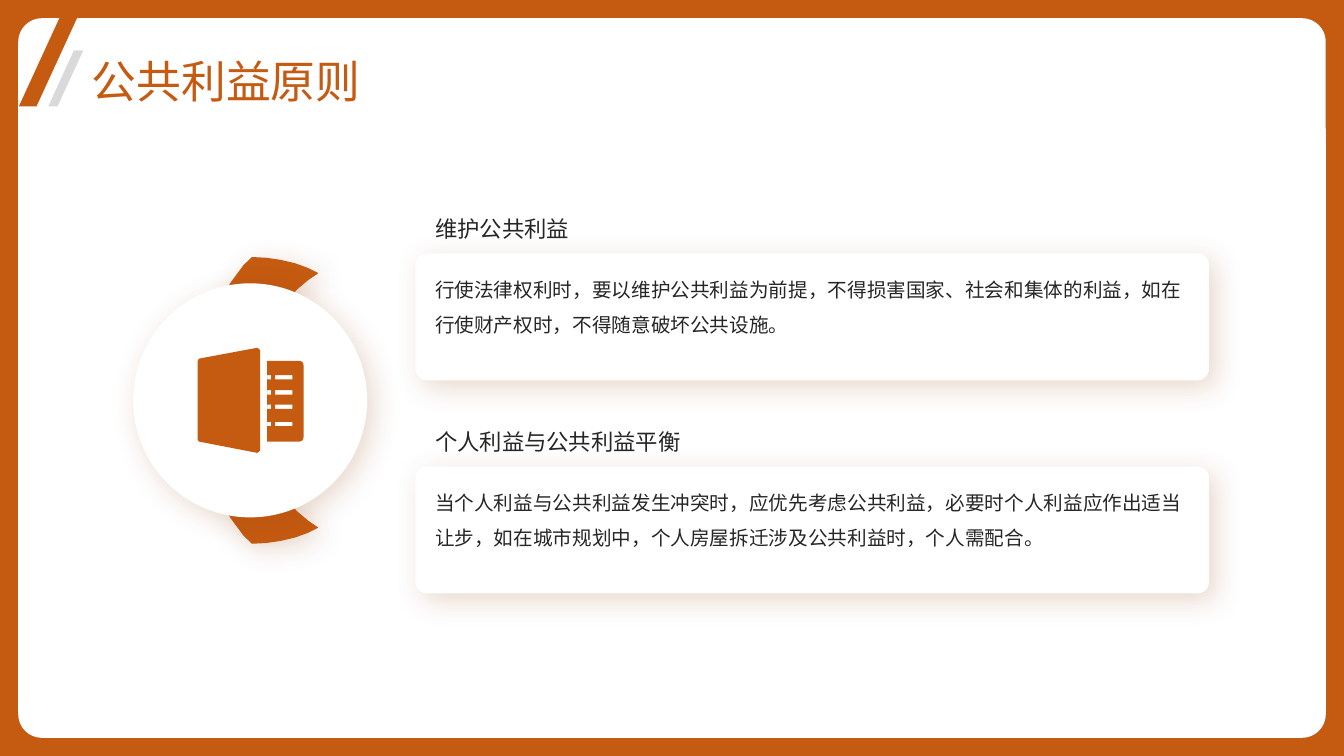
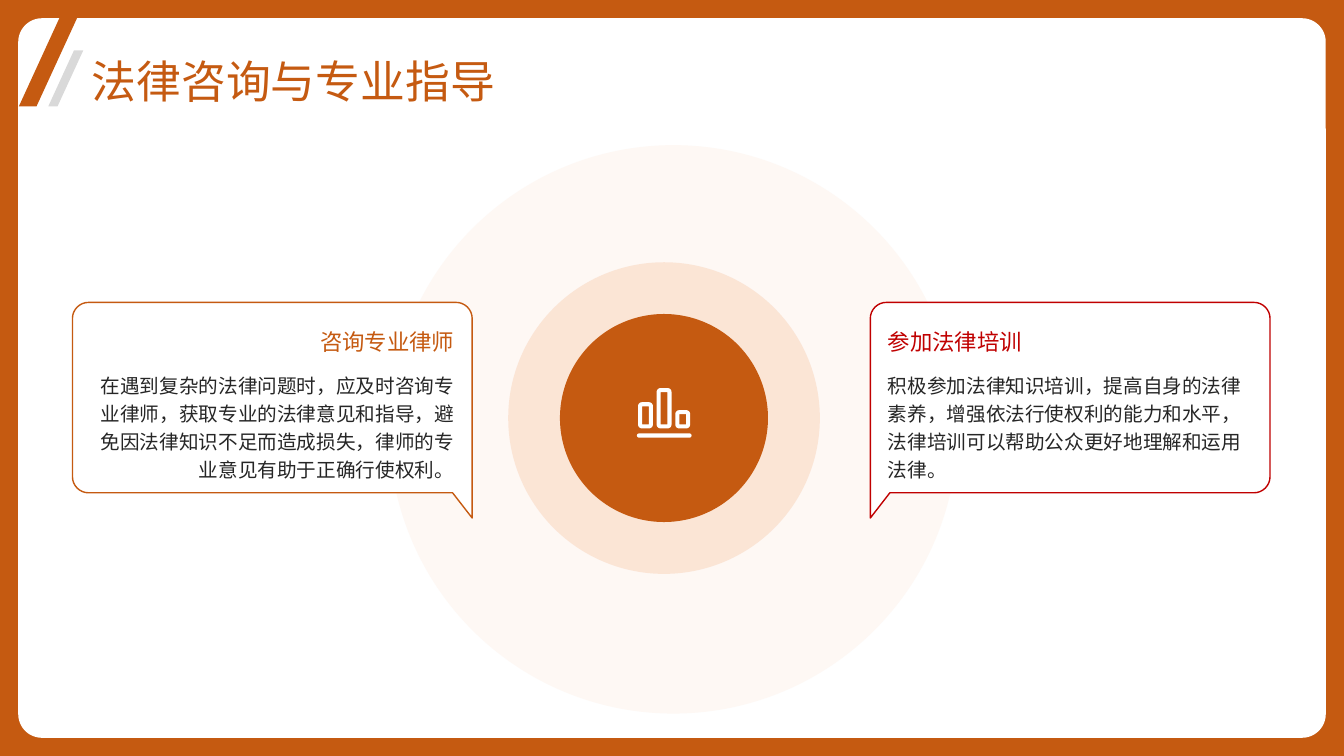
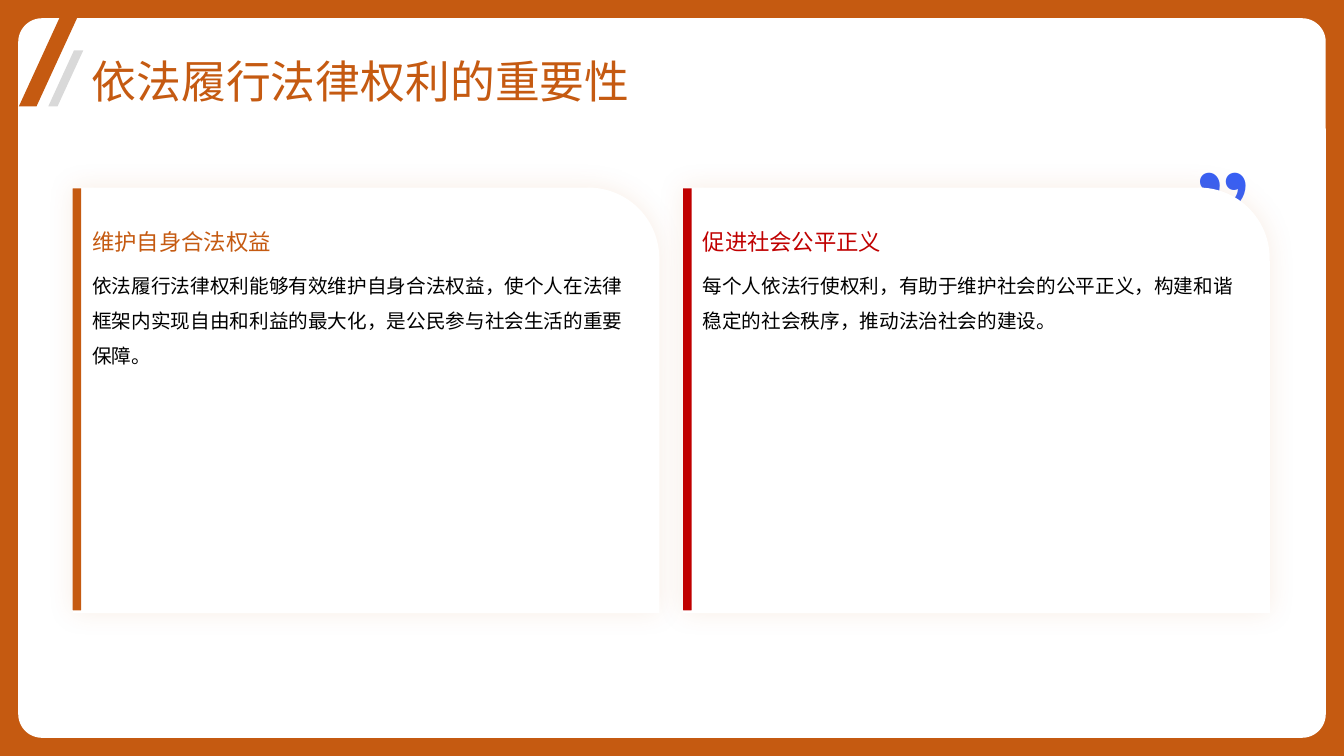
from math import cos, pi, sin

from lxml.etree import SubElement
from pptx import Presentation
from pptx.dml.color import RGBColor
from pptx.enum.lang import MSO_LANGUAGE_ID
from pptx.enum.shapes import MSO_SHAPE
from pptx.enum.text import MSO_ANCHOR, PP_ALIGN
from pptx.oxml.ns import qn
from pptx.util import Pt

ORANGE = RGBColor(0xC5, 0x5A, 0x11)
BROWN = RGBColor(0x94, 0x43, 0x0D)
RED = RGBColor(0xC0, 0x00, 0x00)
PEACH = RGBColor(0xFA, 0xDD, 0xC9)
BLUE = RGBColor(0x38, 0x60, 0xF4)
GREY = RGBColor(0xD9, 0xD9, 0xD9)
INK = RGBColor(0x26, 0x26, 0x26)
BLACK = RGBColor(0x00, 0x00, 0x00)
WHITE = RGBColor(0xFF, 0xFF, 0xFF)
FONT = "Noto Sans CJK SC"
WIDTH, HEIGHT = 960, 540
SOFT_SHADOW = {"color": BROWN, "alpha": 20, "blur": 20, "distance": 6, "angle": 45}
CARD_SHADOW = {"color": ORANGE, "alpha": 10, "blur": 19, "distance": 0, "angle": 0}


def rounded(left, top, width, height, radii):
    """Return the points of a rectangle, clockwise, with its own radius at each corner."""
    right, bottom = left + width, top + height
    corners = [(left, top, 1, 1), (right, top, -1, 1), (right, bottom, -1, -1), (left, bottom, 1, -1)]
    points = []
    for index, ((x, y, inward_x, inward_y), radius) in enumerate(zip(corners, radii)):
        steps = 8 if radius else 0
        for step in range(steps + 1):
            angle = pi + (index + step / max(steps, 1)) * pi / 2
            points.append((x + radius * (inward_x + cos(angle)), y + radius * (inward_y + sin(angle))))
    return points if radii[2] else [point if point != points[-1] else point for point in points]


class Deck:
    """Hold the shared style and the current slide, and draw elements in points."""

    def __init__(self):
        """Start a wide presentation."""
        self.presentation = Presentation()
        self.presentation.slide_width = Pt(WIDTH)
        self.presentation.slide_height = Pt(HEIGHT)
        self.slide = None

    def new_slide(self, title):
        """Add a slide with the frame, the slanted strokes and the title."""
        self.slide = self.presentation.slides.add_slide(self.presentation.slide_layouts[6])
        self.shape(MSO_SHAPE.RECTANGLE, 0, 0, WIDTH, HEIGHT, fill=ORANGE)
        self.shape(MSO_SHAPE.ROUNDED_RECTANGLE, 13, 13, WIDTH - 26, HEIGHT - 26, fill=WHITE, adjust=0.033)
        self.shape(MSO_SHAPE.PARALLELOGRAM, 13.5, 0, 47.5, 76, fill=ORANGE, adjust=0.735)
        self.shape(MSO_SHAPE.PARALLELOGRAM, 34.5, 36, 25, 40, fill=GREY, adjust=0.735)
        self.text(title, 65.5, 37.5, 841, 36.5, size=32, color=ORANGE, spacing=1.1, anchor=MSO_ANCHOR.MIDDLE)

    def style(self, shape, fill, line=None, alpha=None, shadow=None):
        """Set fill, line, opacity and shadow of a shape."""
        shape.shadow.inherit = False
        shape.fill.solid()
        shape.fill.fore_color.rgb = fill
        properties = shape._element.spPr
        if alpha is not None:
            color = properties.find(qn("a:solidFill")).find(qn("a:srgbClr"))
            SubElement(color, qn("a:alpha"), val=str(alpha * 1000))
        if line is None:
            shape.line.fill.background()
        else:
            shape.line.color.rgb = line
            shape.line.width = Pt(1)
        if shadow:
            outer = SubElement(
                properties.find(qn("a:effectLst")), qn("a:outerShdw"),
                blurRad=str(Pt(shadow["blur"])), dist=str(Pt(shadow["distance"])),
                dir=str(shadow["angle"] * 60000), algn="ctr", rotWithShape="0",
            )
            color = SubElement(outer, qn("a:srgbClr"), val=str(shadow["color"]))
            SubElement(color, qn("a:alpha"), val=str(shadow["alpha"] * 1000))

    def shape(self, kind, left, top, width, height, adjust=None, **style):
        """Add a preset shape."""
        shape = self.slide.shapes.add_shape(kind, Pt(left), Pt(top), Pt(width), Pt(height))
        if adjust is not None:
            shape.adjustments[0] = adjust
        self.style(shape, **style)

    def circle(self, x, y, radius, **style):
        """Add a circle by its centre."""
        self.shape(MSO_SHAPE.OVAL, x - radius, y - radius, 2 * radius, 2 * radius, **style)

    def outline(self, contours, **style):
        """Add one freeform made of closed contours."""
        scaled = [[(Pt(x), Pt(y)) for x, y in contour] for contour in contours]
        builder = self.slide.shapes.build_freeform(*scaled[0][0], scale=1.0)
        for index, contour in enumerate(scaled):
            if index:
                builder.move_to(*contour[0])
            builder.add_line_segments(contour[1:], close=True)
        self.style(builder.convert_to_shape(), **style)

    def text(self, text, left, top, width, height, size=14, color=INK, spacing=1.0,
             align=PP_ALIGN.LEFT, anchor=MSO_ANCHOR.TOP, insets=(0, 0)):
        """Add a text box with one formatted paragraph."""
        frame = self.slide.shapes.add_textbox(Pt(left), Pt(top), Pt(width), Pt(height)).text_frame
        frame.word_wrap = True
        frame.vertical_anchor = anchor
        frame.margin_left = frame.margin_right = Pt(insets[0])
        frame.margin_top = frame.margin_bottom = Pt(insets[1])
        paragraph = frame.paragraphs[0]
        paragraph.alignment = align
        paragraph.line_spacing = spacing
        run = paragraph.add_run()
        run.text = text
        run.font.size = Pt(size)
        run.font.color.rgb = color
        run.font.name = FONT
        run.font.language_id = MSO_LANGUAGE_ID.SIMPLIFIED_CHINESE
        SubElement(run._r.get_or_add_rPr(), qn("a:ea"), typeface=FONT)


def public_interest(deck):
    """Draw the principle of public interest."""
    deck.new_slide("公共利益原则")
    sections = [
        ("维护公共利益", "行使法律权利时，要以维护公共利益为前提，不得损害国家、社会和集体的利益，如在行使财产权时，不得随意破坏公共设施。"),
        ("个人利益与公共利益平衡", "当个人利益与公共利益发生冲突时，应优先考虑公共利益，必要时个人利益应作出适当让步，如在城市规划中，个人房屋拆迁涉及公共利益时，个人需配合。"),
    ]
    for index, (heading, body) in enumerate(sections):
        top = 181 + 152.2 * index
        deck.shape(MSO_SHAPE.ROUNDED_RECTANGLE, 296.8, top, 566.8, 90.7, fill=WHITE, adjust=0.09, shadow=SOFT_SHADOW)
        deck.text(body, 310.8, top + 9, 538.6, 73.4, spacing=1.5)
        deck.text(heading, 310.8, top - 32.8, 539, 24.5, size=16, spacing=1.2, anchor=MSO_ANCHOR.BOTTOM)

    center_x, center_y = 178.7, 286
    upper = [(180, 183.6), (190, 184.1), (200.5, 185.6), (211, 188.1), (220.3, 191.5), (227.5, 195.1),
             (220.3, 200), (212, 207), (205.2, 215.3), (180, 211), (157.7, 213.8), (165, 201.5), (174, 189.4)]
    lower = [(x, 2 * center_y - y) for x, y in upper]
    deck.outline([upper, lower], fill=ORANGE, shadow=SOFT_SHADOW)
    deck.circle(center_x, center_y, 83.6, fill=WHITE, shadow=SOFT_SHADOW)

    cover = [(141.2, 258), (142, 256.2), (183.8, 248.4), (185.8, 250),
             (185.8, 322), (183.8, 323.5), (142, 315.4), (141.2, 314)]
    page = rounded(190.8, 257.8, 26, 57.6, (0, 3, 3, 0))
    slots = [rounded(left, top, width, 3.1, (0, 0, 0, 0))
             for top in (267.9, 278.7, 289, 301.3) for left, width in ((190.8, 2.9), (196.6, 12.2))]
    deck.outline([cover, page, *slots], fill=ORANGE)


def legal_advice(deck):
    """Draw the two speech bubbles around the central chart icon."""
    deck.new_slide("法律咨询与专业指导")
    deck.circle(481, 306.7, 203, fill=PEACH, alpha=20)
    deck.circle(474.3, 298.6, 111.3, fill=PEACH, alpha=70)
    deck.circle(474.3, 298.6, 74.3, fill=ORANGE)

    icon = [rounded(455, 309.6, 39, 3, (1.5,) * 4)]
    for index, top in enumerate((287.3, 277.2, 293)):
        left = 455.8 + 13.3 * index
        icon.append(rounded(left, top, 10.6, 306 - top, (2.8,) * 4))
        icon.append(rounded(left + 2.9, top + 2.9, 4.8, 300.2 - top, (0,) * 4))
    deck.outline(icon, fill=WHITE)

    box = rounded(51.8, 216, 285.5, 136, (11.5, 11.5, 0, 11.5))
    corner = box.index((337.3, 352))
    left_bubble = box[:corner] + [(337.3, 370), (323.3, 352)] + box[corner + 1:]
    right_bubble = [(959 - x, y) for x, y in left_bubble]
    bubbles = [
        (left_bubble, 56.2, ORANGE, PP_ALIGN.RIGHT, "咨询专业律师",
         "在遇到复杂的法律问题时，应及时咨询专业律师，获取专业的法律意见和指导，避免因法律知识不足而造成损失，律师的专业意见有助于正确行使权利。"),
        (right_bubble, 627.1, RED, PP_ALIGN.LEFT, "参加法律培训",
         "积极参加法律知识培训，提高自身的法律素养，增强依法行使权利的能力和水平，法律培训可以帮助公众更好地理解和运用法律。"),
    ]
    for bubble, left, color, align, heading, body in bubbles:
        deck.outline([bubble], fill=WHITE, line=color)
        deck.text(body, left, 260, 275.4, 82, spacing=1.2, align=align, insets=(7.2, 3.6))
        deck.text(heading, left, 229, 275.4, 32.4, size=16, color=color, spacing=1.1, align=align, insets=(7.2, 3.6))


def importance(deck):
    """Draw the two cards on why rights are exercised by law."""
    deck.new_slide("依法履行法律权利的重要性")
    deck.text("”", 854, 108.7, 76.3, 54, size=96, color=BLUE, align=PP_ALIGN.RIGHT)
    cards = [
        (52, ORANGE, "维护自身合法权益",
         "依法履行法律权利能够有效维护自身合法权益，使个人在法律框架内实现自由和利益的最大化，是公民参与社会生活的重要保障。"),
        (488, RED, "促进社会公平正义",
         "每个人依法行使权利，有助于维护社会的公平正义，构建和谐稳定的社会秩序，推动法治社会的建设。"),
    ]
    for left, color, heading, body in cards:
        deck.shape(MSO_SHAPE.ROUND_1_RECTANGLE, left, 134, 419, 304, fill=WHITE, shadow=CARD_SHADOW)
        deck.shape(MSO_SHAPE.ROUNDED_RECTANGLE, left, 134.5, 6, 301.5, fill=color, adjust=0.054)
        deck.text(body, left + 14, 187.2, 391, 232.6, color=BLACK, spacing=1.5)
        deck.text(heading, left + 14, 156.2, 391, 23, size=16, color=color, spacing=1.5, anchor=MSO_ANCHOR.MIDDLE)


def main():
    """Build and save the slides."""
    deck = Deck()
    public_interest(deck)
    legal_advice(deck)
    importance(deck)
    deck.presentation.save("out.pptx")


if __name__ == "__main__":
    main()
